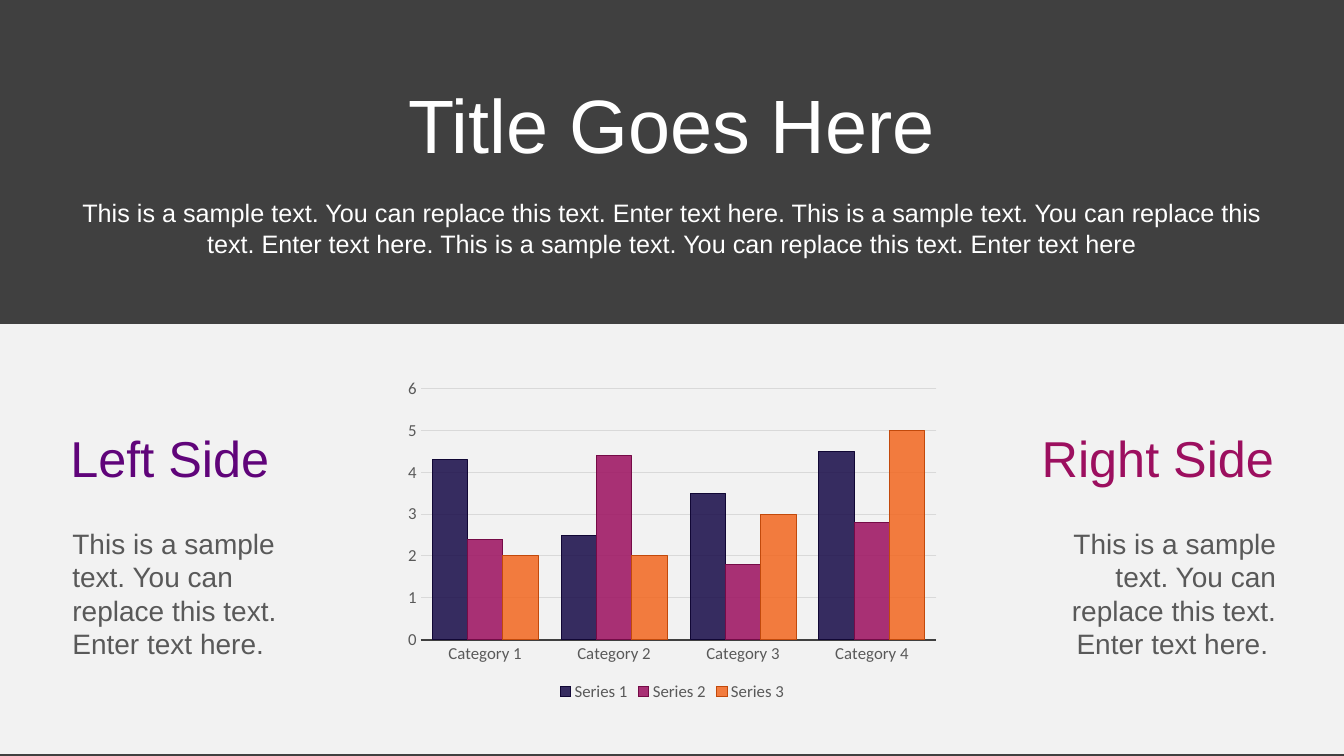
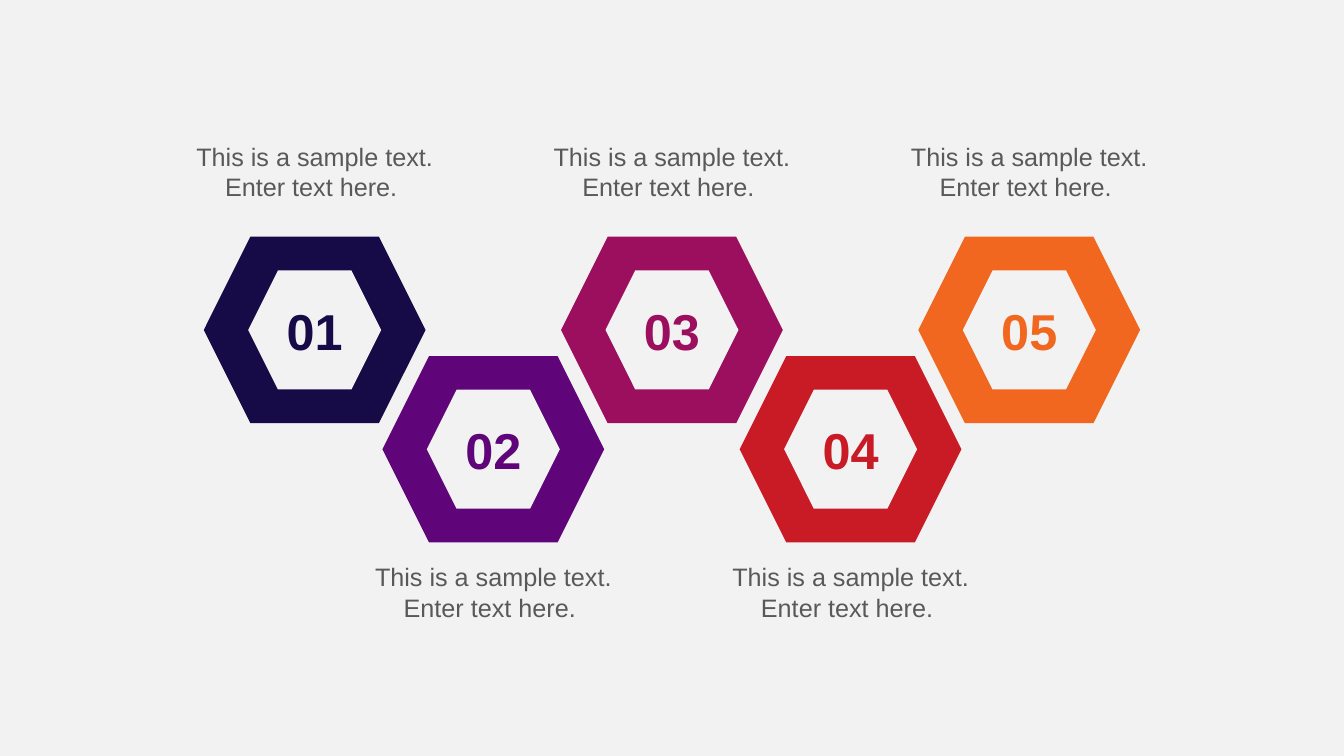
from dataclasses import dataclass

from lxml import etree
from pptx import Presentation
from pptx.chart.data import CategoryChartData
from pptx.dml.color import RGBColor
from pptx.enum.chart import XL_CHART_TYPE, XL_LEGEND_POSITION, XL_TICK_MARK
from pptx.enum.shapes import MSO_SHAPE
from pptx.enum.text import MSO_ANCHOR, MSO_AUTO_SIZE, PP_ALIGN
from pptx.oxml.ns import qn
from pptx.util import Pt

LEFT, MID, RIGHT = PP_ALIGN.LEFT, PP_ALIGN.CENTER, PP_ALIGN.RIGHT
GROW = MSO_AUTO_SIZE.SHAPE_TO_FIT_TEXT
RECT, HEX = MSO_SHAPE.RECTANGLE, MSO_SHAPE.HEXAGON
COLUMN = XL_CHART_TYPE.COLUMN_CLUSTERED
BOTTOM = XL_LEGEND_POSITION.BOTTOM
NO_TICK = XL_TICK_MARK.NONE

FONT, CHART_FONT = "Arial", "Calibri"
COLORS = {
    "dark": "404040", "pale": "F2F2F2", "white": "FFFFFF",
    "gray": "595959", "grid": "D9D9D9",
    "navy": "160A47", "purple": "60047A", "plum": "9C0F5F",
    "red": "C91B26", "orange": "F2671F",
    "navy edge": "110735", "plum edge": "750B47", "orange edge": "C2490B",
}
SAMPLE = "This is a sample text. You can replace this text. Enter text here"
SHORT = "This is a sample text. Enter text here. "


@dataclass
class Box:
    x: float
    y: float
    w: float
    h: float

    def points(self) -> tuple:
        return Pt(self.x), Pt(self.y), Pt(self.w), Pt(self.h)


@dataclass
class Para:
    text: str
    size: float
    color: str
    align: int = MID
    bold: bool = False
    after: float = 0


@dataclass
class Side:
    x: float
    head: str
    body: str
    color: str
    align: int


@dataclass
class Series:
    name: str
    vals: tuple
    color: str


SIDES = [
    Side(43.2, "Left Side", SAMPLE + ".", "purple", LEFT),
    Side(728.6, "Right Side", SAMPLE + ". ", "plum", RIGHT),
]
CATS = [f"Category {n}" for n in range(1, 5)]
SERIES = [
    Series("Series 1", (4.3, 2.5, 3.5, 4.5), "navy"),
    Series("Series 2", (2.4, 4.4, 1.8, 2.8), "plum"),
    Series("Series 3", (2, 2, 3, 5), "orange"),
]
STEPS = ["navy", "purple", "plum", "red", "orange"]


# Shared helpers
def rgb(name: str) -> RGBColor:
    return RGBColor.from_string(COLORS[name])


def paint(fill, color: str) -> None:
    fill.solid()
    fill.fore_color.rgb = rgb(color)


def draw_line(line, color: str, width: float) -> None:
    paint(line.fill, color)
    line.width = Pt(width)


def set_font(font, name: str, size: float, color: str) -> None:
    font.name, font.size = name, Pt(size)
    font.color.rgb = rgb(color)


def add_slide(deck, color: str):
    slide = deck.slides.add_slide(deck.slide_layouts[6])
    paint(slide.background.fill, color)
    return slide


def write(frame, paras: list) -> None:
    for i, item in enumerate(paras):
        para = frame.add_paragraph() if i else frame.paragraphs[0]
        para.alignment = item.align
        para.space_after = Pt(item.after)
        run = para.add_run()
        run.text = item.text
        set_font(run.font, FONT, item.size, item.color)
        run.font.bold = item.bold


def add_text(slide, box: Box, *paras: Para) -> None:
    frame = slide.shapes.add_textbox(*box.points()).text_frame
    frame.word_wrap = True
    frame.auto_size = GROW
    write(frame, list(paras))


def add_solid(slide, kind: int, box: Box, color: str):
    shape = slide.shapes.add_shape(kind, *box.points())
    shape.shadow.inherit = False
    paint(shape.fill, color)
    shape.line.fill.background()
    return shape


# Chart
def style_axis(axis) -> None:
    axis.major_tick_mark = axis.minor_tick_mark = NO_TICK
    set_font(axis.tick_labels.font, CHART_FONT, 12, "gray")


def add_bars(slide, box: Box) -> None:
    data = CategoryChartData()
    data.categories = CATS
    for item in SERIES:
        data.add_series(item.name, item.vals)
    chart = slide.shapes.add_chart(COLUMN, *box.points(), data).chart
    chart.has_title = False
    set_font(chart.font, CHART_FONT, 10, "gray")

    chart.has_legend = True
    chart.legend.position = BOTTOM
    chart.legend.include_in_layout = False
    set_font(chart.legend.font, CHART_FONT, 12, "gray")

    cat, val = chart.category_axis, chart.value_axis
    style_axis(cat)
    style_axis(val)
    draw_line(cat.format.line, "dark", 1.5)
    val.format.line.fill.background()
    val.minimum_scale, val.maximum_scale, val.major_unit = 0, 6, 1
    draw_line(val.major_gridlines.format.line, "grid", 0.75)

    plot = chart.plots[0]
    plot.gap_width, plot.overlap = 65, 0
    plot.vary_by_categories = False
    for bar, item in zip(plot.series, SERIES):
        paint(bar.format.fill, item.color)
        # Bars are 85% opaque
        tint = bar._element.spPr.find(qn("a:solidFill"))[0]
        etree.SubElement(tint, qn("a:alpha")).set("val", "85000")
        draw_line(bar.format.line, item.color + " edge", 0.75)


# Slide 1: title band, chart and two sides
def chart_slide(deck) -> None:
    slide = add_slide(deck, "dark")
    add_solid(slide, RECT, Box(0, 231.6, 960, 307), "pale")
    add_bars(slide, Box(283.7, 265.7, 393.1, 238.3))
    add_text(slide, Box(43.2, 51.8, 873.4, 159.8),
             Para("Title Goes Here", 54, "white", after=21),
             Para(". ".join([SAMPLE] * 3), 18, "white"))
    for side in SIDES:
        add_text(slide, Box(side.x, 301.7, 188.6, 51.1),
                 Para(side.head, 36, side.color, side.align))
        add_text(slide, Box(side.x + 1.4, 372.2, 188.6, 104.4),
                 Para(side.body, 20, "gray", side.align))


# Slide 2: zigzag of numbered hexagons
def step_slide(deck) -> None:
    slide = add_slide(deck, "pale")
    wide, high, pitch = 158.4, 133.2, 127.6
    hole_w, hole_h, text_w = 95, 85, 224
    for i, color in enumerate(STEPS):
        low = i % 2
        x, y = 145.6 + i * pitch, 254.3 if low else 169.1
        add_solid(slide, HEX, Box(x, y, wide, high), color)
        hole = add_solid(slide, HEX, Box(x + (wide - hole_w) / 2,
                                         y + (high - hole_h) / 2,
                                         hole_w, hole_h), "pale")
        frame = hole.text_frame
        frame.margin_left = frame.margin_right = Pt(0)
        frame.vertical_anchor = MSO_ANCHOR.MIDDLE
        write(frame, [Para(f"{i + 1:02}", 36, color, bold=True)])
        add_text(slide, Box(x + (wide - text_w) / 2, 397.7 if low else 97.2,
                            text_w, 58), Para(SHORT, 18, "gray"))


def main() -> None:
    deck = Presentation()
    deck.slide_width, deck.slide_height = Pt(960), Pt(540)
    chart_slide(deck)
    step_slide(deck)
    deck.save("out.pptx")


if __name__ == "__main__":
    main()
